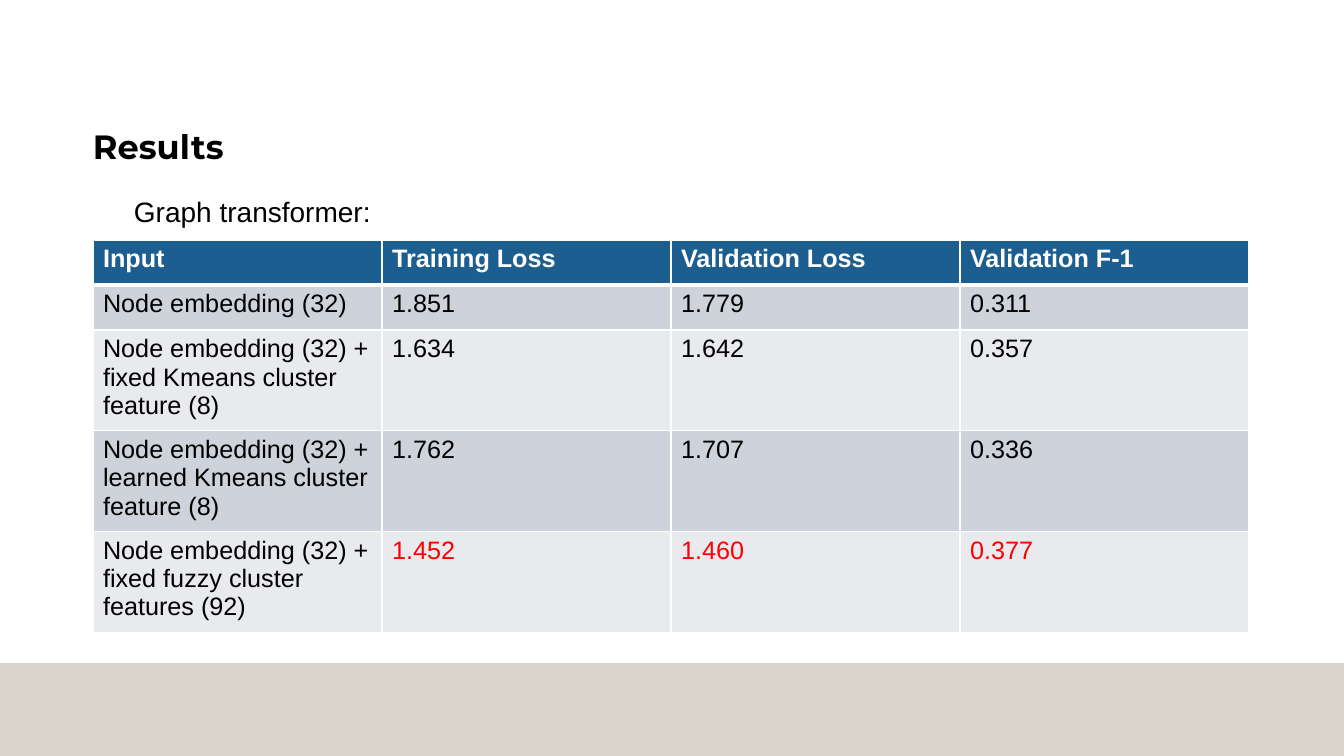
import pptx
import pptx.dml.color
import pptx.enum.shapes
import pptx.enum.text
import pptx.oxml
import pptx.oxml.ns
import pptx.util

RGBColor = pptx.dml.color.RGBColor
Anchor = pptx.enum.text.MSO_ANCHOR

WHITE = RGBColor(0xFF, 0xFF, 0xFF)
BLACK = RGBColor(0x00, 0x00, 0x00)
RED = RGBColor(0xFF, 0x00, 0x00)
BLUE = RGBColor(0x1C, 0x5E, 0x90)
BAND_DARK = RGBColor(0xCD, 0xD2, 0xDB)
BAND_LIGHT = RGBColor(0xE8, 0xEA, 0xEE)
BEIGE = RGBColor(0xDA, 0xD4, 0xCC)

PX_PER_INCH = 100.8
BLANK_LAYOUT = 6

RESULTS = [
    ["Input", "Training Loss", "Validation Loss", "Validation F-1"],
    ["Node embedding (32)", "1.851", "1.779", "0.311"],
    ["Node embedding (32) + fixed Kmeans cluster feature (8)", "1.634", "1.642", "0.357"],
    ["Node embedding (32) + learned Kmeans cluster feature (8)", "1.762", "1.707", "0.336"],
    ["Node embedding (32) + fixed fuzzy cluster features (92)", "1.452", "1.460", "0.377"],
]
ROW_HEIGHTS = [45, 45, 95, 95, 94]
COLUMN_WIDTH = 289


def px(length):
    return pptx.util.Inches(length / PX_PER_INCH)


def style_paragraph(para, font_name, size, color, bold=False):
    para.font.name = font_name
    para.font.size = pptx.util.Pt(size)
    para.font.bold = bold
    para.font.color.rgb = color


def add_band(page, left, top, width, height, color):
    band = page.shapes.add_shape(
        pptx.enum.shapes.MSO_SHAPE.RECTANGLE, px(left), px(top), px(width), px(height))
    band.shadow.inherit = False
    band.fill.solid()
    band.fill.fore_color.rgb = color
    band.line.fill.background()


def add_text(page, text, left, top, width, height, font_name, size,
             bold=False, anchor=Anchor.TOP, inset=10):
    box = page.shapes.add_textbox(px(left), px(top), px(width), px(height))
    frame = box.text_frame
    frame.word_wrap = True
    frame.vertical_anchor = anchor
    frame.margin_left = px(inset)
    para = frame.paragraphs[0]
    para.text = text
    para.line_spacing = 0.9
    style_paragraph(para, font_name, size, BLACK, bold)


def set_borders(cell, widths):
    properties = cell._tc.get_or_add_tcPr()
    # Border lines come before the fill in the cell properties
    for position, (side, points) in enumerate(widths.items()):
        line = pptx.oxml.parse_xml(
            f'<a:{side} {pptx.oxml.ns.nsdecls("a")} w="{pptx.util.Pt(points)}">'
            f'<a:solidFill><a:srgbClr val="{WHITE}"/></a:solidFill></a:{side}>')
        properties.insert(position, line)


def add_results_table(page, left, top):
    row_count, column_count = len(RESULTS), len(RESULTS[0])
    table = page.shapes.add_table(
        row_count, column_count, px(left), px(top),
        px(COLUMN_WIDTH * column_count), px(sum(ROW_HEIGHTS))).table
    for column in table.columns:
        column.width = px(COLUMN_WIDTH)
    for row_index, values in enumerate(RESULTS):
        table.rows[row_index].height = px(ROW_HEIGHTS[row_index])
        is_header = row_index == 0
        is_best = row_index == row_count - 1
        band = BAND_DARK if row_index % 2 else BAND_LIGHT
        for column_index, value in enumerate(values):
            cell = table.cell(row_index, column_index)
            cell.text = value
            cell.fill.solid()
            cell.fill.fore_color.rgb = BLUE if is_header else band
            color = WHITE if is_header else RED if is_best and column_index else BLACK
            style_paragraph(cell.text_frame.paragraphs[0], "Arial", 18, color, is_header)
            set_borders(cell, {"lnL": 1, "lnR": 1,
                               "lnT": 3 if row_index == 1 else 1,
                               "lnB": 3 if is_header else 1})


def main():
    deck = pptx.Presentation()
    deck.slide_width, deck.slide_height = px(1344), px(756)
    page = deck.slides.add_slide(deck.slide_layouts[BLANK_LAYOUT])

    # Footer band
    add_band(page, 0, 663, 1344, 93, BEIGE)

    # Heading and lead-in
    add_text(page, "Results", 83, 103, 1177, 92, "Montserrat", 24,
             bold=True, anchor=Anchor.MIDDLE)
    add_text(page, "Graph transformer:", 84, 193, 1178, 399, "Arial", 20, inset=50)

    # Scores by input
    add_results_table(page, 93, 240)

    deck.save("out.pptx")


if __name__ == "__main__":
    main()
